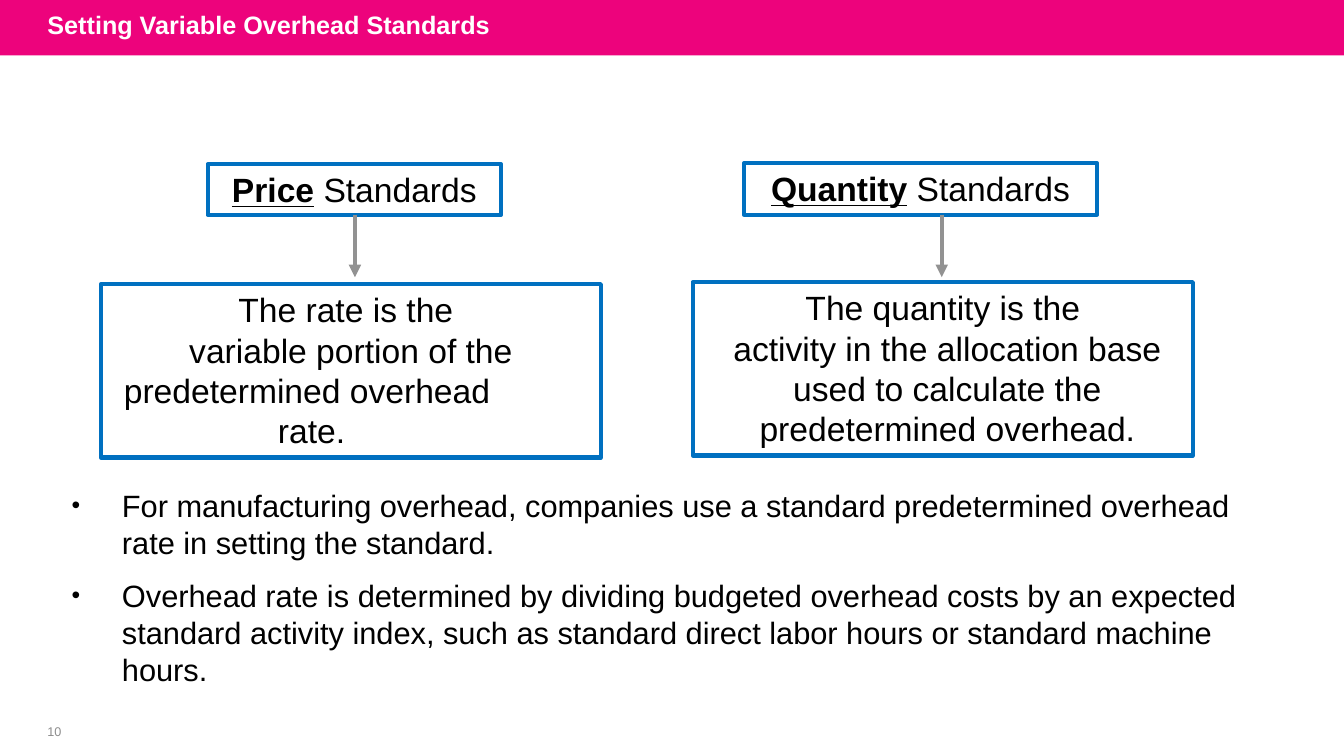
from lxml.etree import SubElement
from pptx import Presentation
from pptx.dml.color import RGBColor
from pptx.enum.shapes import MSO_CONNECTOR, MSO_SHAPE
from pptx.enum.text import MSO_ANCHOR, MSO_AUTO_SIZE, PP_ALIGN
from pptx.oxml.ns import qn
from pptx.util import Inches, Pt

WIDTH, HEIGHT = Inches(13.33), Inches(7.5)
PINK, BLUE, GRAY = "ED037C", "0070C0", "929292"
BLACK, WHITE, NUMBER_GRAY = "000000", "FFFFFF", "8C8C8C"
LINE_SPACING = 1.0

# Each column: heading word, heading area, detail area, arrow position, and
# detail paragraphs as (left indent, right indent, lines). Areas are percentages.
COLUMNS = [
    ("Price", (15.45, 21.73, 21.83, 6.67), (7.5, 37.6, 37.21, 22.93), 26.41, [
        (0.82, 0.92, ["The rate is the"]),
        (0.87, 0.87, ["variable portion of the"]),
        (0, 0.87, ["predetermined overhead"]),
        (0.09, 0.87, ["rate."]),
    ]),
    ("Quantity", (55.36, 21.6, 26.26, 6.8), (51.54, 37.33, 37.21, 22.93), 70.07, [
        (0, 0, ["The quantity is the"]),
        (0.3, 0.21, ["activity in the allocation base", "used to calculate the",
                     "predetermined overhead."]),
    ]),
]
BULLETS = [
    "For manufacturing overhead, companies use a standard predetermined overhead "
    "rate in setting the standard.",
    "Overhead rate is determined by dividing budgeted overhead costs by an expected "
    "standard activity index, such as standard direct labor hours or standard "
    "machine hours.",
]


def color(hex_string):
    return RGBColor.from_string(hex_string)


def across(percent):
    return round(WIDTH * percent / 100)


def down(percent):
    return round(HEIGHT * percent / 100)


def area(left, top, width, height):
    """Turn percentages of the slide into a position and size."""
    return across(left), down(top), across(width), down(height)


def place(shape, percentages):
    shape.left, shape.top, shape.width, shape.height = area(*percentages)


def prepare_frame(shape, anchor=MSO_ANCHOR.TOP, side=0, top=0):
    frame = shape.text_frame
    frame.word_wrap = True
    frame.auto_size = MSO_AUTO_SIZE.NONE
    frame.vertical_anchor = anchor
    frame.margin_left = frame.margin_right = Inches(side)
    frame.margin_top, frame.margin_bottom = Inches(top), 0
    return frame


def paragraphs(frame, count):
    """Return the first paragraph of the frame followed by new ones."""
    return [frame.paragraphs[0]] + [frame.add_paragraph() for _ in range(count - 1)]


def set_paragraph(paragraph, alignment, left=0, right=0, first=0, before=0):
    paragraph.alignment = alignment
    paragraph.line_spacing = LINE_SPACING
    paragraph.space_before = Pt(before)
    properties = paragraph._p.get_or_add_pPr()
    for name, inches in (("marL", left), ("marR", right), ("indent", first)):
        properties.set(name, str(Inches(inches)))
    return properties


def add_run(paragraph, text, size, hex_string=BLACK, bold=False, underline=False):
    run = paragraph.add_run()
    run.text = text
    font = run.font
    font.name, font.size = "Arial", Pt(size)
    font.bold, font.underline = bold, underline
    font.color.rgb = color(hex_string)


def add_band(slide):
    band = slide.shapes.add_shape(MSO_SHAPE.RECTANGLE, *area(0, 0, 100, 7.33))
    band.shadow.inherit = False
    band.fill.solid()
    band.fill.fore_color.rgb = color(PINK)
    band.line.fill.background()
    band.element.getparent().insert(2, band.element)


def fill_title(title, text):
    place(title, (2.78, -0.4, 78.77, 7.33))
    frame = prepare_frame(title, MSO_ANCHOR.MIDDLE, side=0.1)
    set_paragraph(frame.paragraphs[0], PP_ALIGN.LEFT)
    add_run(frame.paragraphs[0], text, 18, WHITE, bold=True)


def add_outlined_box(slide, percentages):
    box = slide.shapes.add_shape(MSO_SHAPE.RECTANGLE, *area(*percentages))
    box.shadow.inherit = False
    box.fill.background()
    box.line.color.rgb = color(BLUE)
    box.line.width = Pt(3)
    return prepare_frame(box, top=0.05)


def add_heading(slide, word, percentages):
    paragraph = add_outlined_box(slide, percentages).paragraphs[0]
    set_paragraph(paragraph, PP_ALIGN.CENTER)
    add_run(paragraph, word, 24, bold=True, underline=True)
    add_run(paragraph, " Standards", 24)


def add_detail(slide, percentages, contents):
    frame = add_outlined_box(slide, percentages)
    for paragraph, (left, right, lines) in zip(paragraphs(frame, len(contents)), contents):
        set_paragraph(paragraph, PP_ALIGN.CENTER, left, right)
        for index, line in enumerate(lines):
            if index:
                paragraph.add_line_break()
            add_run(paragraph, line, 24)


def add_down_arrow(slide, center):
    arrow = slide.shapes.add_connector(
        MSO_CONNECTOR.STRAIGHT, across(center), down(28.4), across(center), down(36.67))
    arrow.line.color.rgb = color(GRAY)
    arrow.line.width = Pt(3)
    SubElement(arrow.line._get_or_add_ln(), qn("a:tailEnd"), type="triangle")
    SubElement(arrow.element.spPr, qn("a:effectLst"))


def fill_bullets(body, texts):
    place(body, (5.25, 64.27, 87.1, 26.93))
    frame = prepare_frame(body, top=0.01)
    for index, paragraph in enumerate(paragraphs(frame, len(texts))):
        properties = set_paragraph(paragraph, PP_ALIGN.LEFT, left=0.51, first=-0.5,
                                   before=11.3 if index else 0)
        SubElement(properties, qn("a:buSzPct"), val="80000")
        SubElement(properties, qn("a:buFont"), typeface="Arial")
        SubElement(properties, qn("a:buChar"), char="•")
        add_run(paragraph, texts[index], 22)


def add_slide_number(slide, number):
    box = slide.shapes.add_textbox(*area(1.95, 95.2, 4.2, 3.2))
    paragraph = prepare_frame(box, MSO_ANCHOR.MIDDLE).paragraphs[0]
    set_paragraph(paragraph, PP_ALIGN.CENTER)
    add_run(paragraph, number, 9, NUMBER_GRAY)


def main():
    presentation = Presentation()
    presentation.slide_width, presentation.slide_height = WIDTH, HEIGHT
    slide = presentation.slides.add_slide(presentation.slide_layouts[1])
    add_band(slide)
    fill_title(slide.shapes.title, "Setting Variable Overhead Standards")
    for word, heading_area, detail_area, arrow_center, contents in COLUMNS:
        add_heading(slide, word, heading_area)
        add_detail(slide, detail_area, contents)
        add_down_arrow(slide, arrow_center)
    fill_bullets(slide.placeholders[1], BULLETS)
    add_slide_number(slide, "10")
    presentation.save("out.pptx")


if __name__ == "__main__":
    main()
